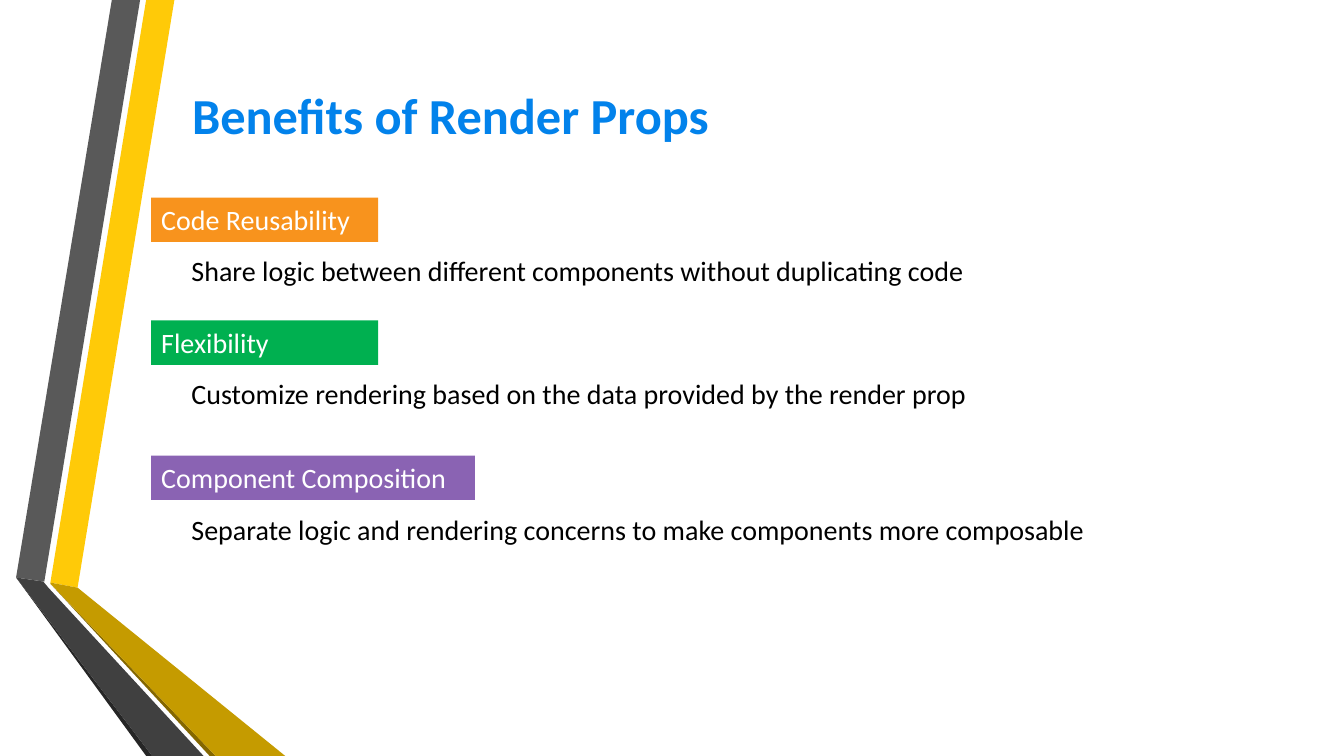
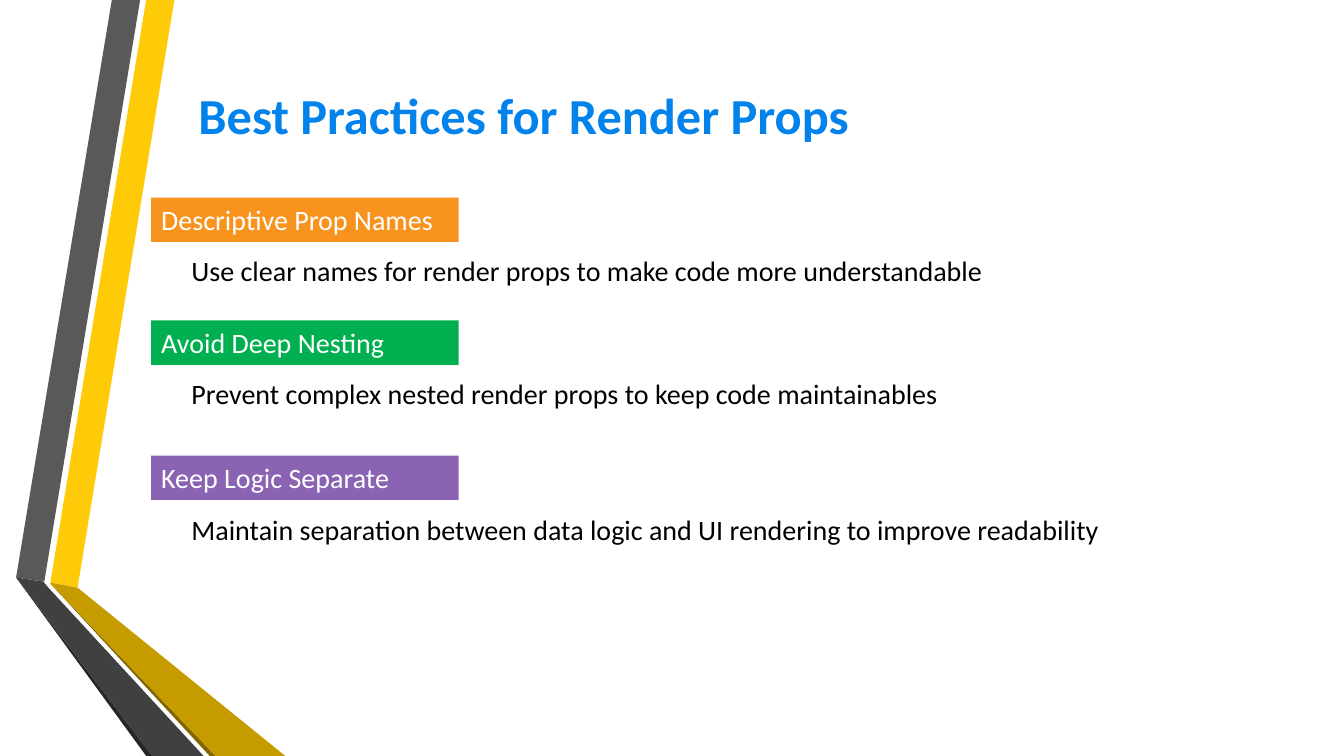
"""Build two slides on render props: their benefits and best practices."""
from pptx import Presentation, util as u
from pptx.dml.color import RGBColor
from pptx.enum import shapes, text

COLORS = {
    "title": "0282EB", "body": "000000", "label": "FFFFFF",
    "orange": "F8931D", "green": "00B050", "purple": "8A63B3",
    "yellow": "FFCA08", "gray": "595959", "black": "262626",
    "brown": "846700", "gold": "C59B00", "charcoal": "404040",
}
RIBBONS = [
    ("yellow", [(0.5, 5.78), (0.77, 5.83), (1.73, 0), (1.45, 0)]),
    ("gray", [(1.39, 0), (1.11, 0), (0.16, 5.73), (0.44, 5.77)]),
    ("black", [(0.16, 5.73), (1.45, 7.5), (1.51, 7.5)]),
    ("brown", [(0.5, 5.79), (2.08, 7.5), (2.14, 7.5)]),
    ("gold", [(0.5, 5.78), (0.5, 5.79), (2.14, 7.5), (2.83, 7.5), (0.77, 5.83)]),
    ("charcoal", [(2.02, 7.5), (0.48, 5.83), (0.43, 5.77), (0.16, 5.73), (1.51, 7.5)]),
]
ROWS = [
    ("orange", 1.96, 2.47, 8.11),
    ("green", 3.18, 3.69, 8.11),
    ("purple", 4.52, 5.04, 9.29),
]
SLIDES = [
    ("Benefits of Render Props", 5.64, [
        ("Code Reusability", 2.25,
         "Share logic between different components without duplicating code"),
        ("Flexibility", 2.25,
         "Customize rendering based on the data provided by the render prop"),
        ("Component Composition", 3.21,
         "Separate logic and rendering concerns to make components more composable"),
    ]),
    ("Best Practices for Render Props", 7.09, [
        ("Descriptive Prop Names", 3.05,
         "Use clear names for render props to make code more understandable"),
        ("Avoid Deep Nesting", 3.05,
         "Prevent complex nested render props to keep code maintainables"),
        ("Keep Logic Separate", 3.05,
         "Maintain separation between data logic and UI rendering to improve readability"),
    ]),
]


class Deck:
    font = "Calibri"
    title_size = 36
    body_size = 20
    row_height = 0.44

    def __init__(self):
        self.prs = Presentation()
        self.prs.slide_width = u.Inches(13.33)
        self.prs.slide_height = u.Inches(7.5)

    def add_slide(self):
        self.s = self.prs.slides.add_slide(self.prs.slide_layouts[6])
        for color, points in RIBBONS:
            self.ribbon(color, points)

    def paint(self, sp, color):
        sp.shadow.inherit = False
        sp.fill.solid()
        sp.fill.fore_color.rgb = RGBColor.from_string(COLORS[color])
        sp.line.fill.background()

    def ribbon(self, color, points):
        start, *rest = [(u.Inches(x), u.Inches(y)) for x, y in points]
        fb = self.s.shapes.build_freeform(*start)
        fb.add_line_segments(rest, close=True)
        self.paint(fb.convert_to_shape(), color)

    def set_text(self, sp, words, color, size, bold=False,
                 align=text.PP_ALIGN.LEFT, anchor=text.MSO_ANCHOR.TOP):
        tf = sp.text_frame
        tf.text = words
        tf.word_wrap = True
        tf.vertical_anchor = anchor
        p = tf.paragraphs[0]
        p.alignment = align
        r = p.runs[0]
        r.font.name = self.font
        r.font.size = u.Pt(size)
        r.font.bold = bold
        r.font.color.rgb = RGBColor.from_string(COLORS[color])

    def title(self, words, width):
        sp = self.s.shapes.add_textbox(
            u.Inches(1.65), u.Inches(0.74), u.Inches(width), u.Inches(0.78))
        self.set_text(sp, words, "title", self.title_size, True,
                      text.PP_ALIGN.CENTER, text.MSO_ANCHOR.MIDDLE)

    def label(self, words, top, width, color):
        sp = self.s.shapes.add_shape(
            shapes.MSO_SHAPE.RECTANGLE, u.Inches(1.5), u.Inches(top),
            u.Inches(width), u.Inches(self.row_height))
        self.paint(sp, color)
        self.set_text(sp, words, "label", self.body_size)

    def body(self, words, top, width):
        sp = self.s.shapes.add_textbox(
            u.Inches(1.8), u.Inches(top), u.Inches(width), u.Inches(self.row_height))
        self.set_text(sp, words, "body", self.body_size)


def main():
    deck = Deck()
    for title, title_width, items in SLIDES:
        deck.add_slide()
        deck.title(title, title_width)
        for (label, label_width, body), (color, label_top, body_top, body_width) in zip(items, ROWS):
            deck.label(label, label_top, label_width, color)
            deck.body(body, body_top, body_width)
    deck.prs.save("out.pptx")


if __name__ == "__main__":
    main()
